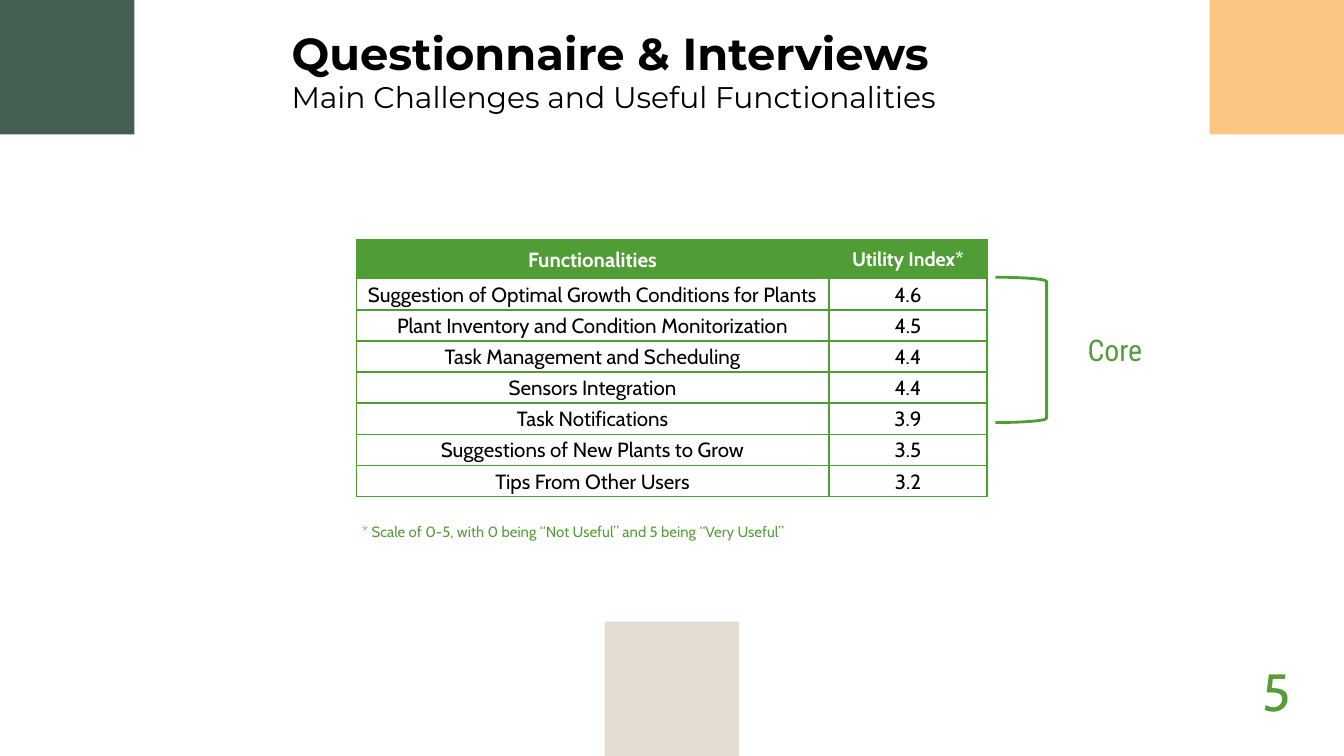
from lxml.etree import SubElement
from pptx import Presentation
from pptx.dml.color import RGBColor
from pptx.enum.shapes import MSO_SHAPE as SHAPE
from pptx.enum.text import MSO_ANCHOR as ANCHOR, MSO_AUTO_SIZE as FIT, PP_ALIGN as ALIGN
from pptx.oxml.ns import qn
from pptx.util import Emu, Pt

GREEN = "519D35"
TEXT_GREEN = "549E39"
ROWS = [
    ("Functionalities", "Utility Index*"),
    ("Suggestion of Optimal Growth Conditions for Plants", "4.6"),
    ("Plant Inventory and Condition Monitorization", "4.5"),
    ("Task Management and Scheduling", "4.4"),
    ("Sensors Integration", "4.4"),
    ("Task Notifications", "3.9"),
    ("Suggestions of New Plants to Grow", "3.5"),
    ("Tips From Other Users", "3.2"),
]


def px(n):
    return Emu(n * 5715)


def rgb(value):
    return RGBColor.from_string(value)


class Deck:
    """Draws styled elements on the current slide, at 160 px to the inch."""

    def __init__(self, width, height):
        self.prs = Presentation()
        self.prs.slide_width, self.prs.slide_height = px(width), px(height)
        self.slide = self.prs.slides.add_slide(self.prs.slide_layouts[5])

    def style(self, p, size, color, font="Cabin", bold=False, align=ALIGN.LEFT):
        p.alignment = align
        for r in p.runs:
            r.font.name, r.font.size, r.font.bold = font, Pt(size), bold
            r.font.color.rgb = rgb(color)

    def title(self, box, heading, subtitle):
        s = self.slide.shapes.title
        s.left, s.top, s.width, s.height = map(px, box)
        tf = s.text_frame
        tf.text = f"{heading}\n{subtitle}"
        tf.auto_size, tf.vertical_anchor = FIT.NONE, ANCHOR.TOP
        self.style(tf.paragraphs[0], 24, "000000", "Montserrat", True)
        self.style(tf.paragraphs[1], 16, "000000", "Montserrat")

    def shape(self, kind, box, fill=None, line=None, rotation=0):
        s = self.slide.shapes.add_shape(kind, *map(px, box))
        s.shadow.inherit = False
        s.rotation = rotation
        if fill:
            s.fill.solid()
            s.fill.fore_color.rgb = rgb(fill)
        else:
            s.fill.background()
        if line:
            s.line.color.rgb, s.line.width = rgb(line), Pt(1.5)
        else:
            s.line.fill.background()

    def text(self, box, text, size, font="Cabin", align=ALIGN.LEFT, anchor=ANCHOR.TOP):
        tf = self.slide.shapes.add_textbox(*map(px, box)).text_frame
        tf.text = text
        tf.word_wrap, tf.vertical_anchor = True, anchor
        self.style(tf.paragraphs[0], size, TEXT_GREEN, font, align=align)

    def borders(self, cell):
        tc_pr = cell._tc.get_or_add_tcPr()
        for i, side in enumerate("LRTB"):
            ln = SubElement(tc_pr, qn(f"a:ln{side}"), w=str(Pt(0.75)))
            fill = SubElement(ln, qn("a:solidFill"))
            SubElement(fill, qn("a:srgbClr"), val=GREEN)
            tc_pr.insert(i, ln)

    def table(self, left, top, widths, heights, rows):
        box = map(px, (left, top, sum(widths), sum(heights)))
        table = self.slide.shapes.add_table(len(rows), len(widths), *box).table
        for col, width in zip(table.columns, widths):
            col.width = px(width)
        for i, (height, values) in enumerate(zip(heights, rows)):
            table.rows[i].height = px(height)
            for j, value in enumerate(values):
                self.cell(table.cell(i, j), value, i == 0, j)

    def cell(self, cell, value, header, col):
        cell.text = value
        cell.vertical_anchor = ANCHOR.MIDDLE
        cell.margin_left = cell.margin_right = px(12)
        cell.margin_top = cell.margin_bottom = 0
        cell.fill.solid()
        cell.fill.fore_color.rgb = rgb(GREEN if header else "FFFFFF")
        p = cell.text_frame.paragraphs[0]
        p.line_spacing, p.space_after = 1.07, Pt(8)
        size = 10.5 if header and col else 11
        self.style(p, size, "FFFFFF" if header else "000000", bold=header, align=ALIGN.CENTER)
        self.borders(cell)


def main():
    deck = Deck(1600, 900)
    for left, top, fill in ((0, 0, "455F51"), (1440, 0, "FBC583"), (720, 740, "E3DED1")):
        deck.shape(SHAPE.RECTANGLE, (left, top, 160, 160), fill)
    deck.title((331, 22, 994, 104), "Questionnaire & Interviews",
               "Main Challenges and Useful Functionalities")
    deck.table(424, 285, [563, 188], [47] + [37] * 7, ROWS)
    deck.text((415, 614, 682, 38),
              "* Scale of 0-5, with 0 being “Not Useful” and 5 being “Very Useful”", 8)
    deck.text((1440, 777, 160, 91), "5", 28, align=ALIGN.CENTER, anchor=ANCHOR.MIDDLE)
    deck.shape(SHAPE.LEFT_BRACKET, (1185, 330, 61, 173), line=GREEN, rotation=180)
    deck.text((1279, 387, 179, 59), "Core", 16, "Roboto Condensed")
    deck.prs.save("out.pptx")


if __name__ == "__main__":
    main()
